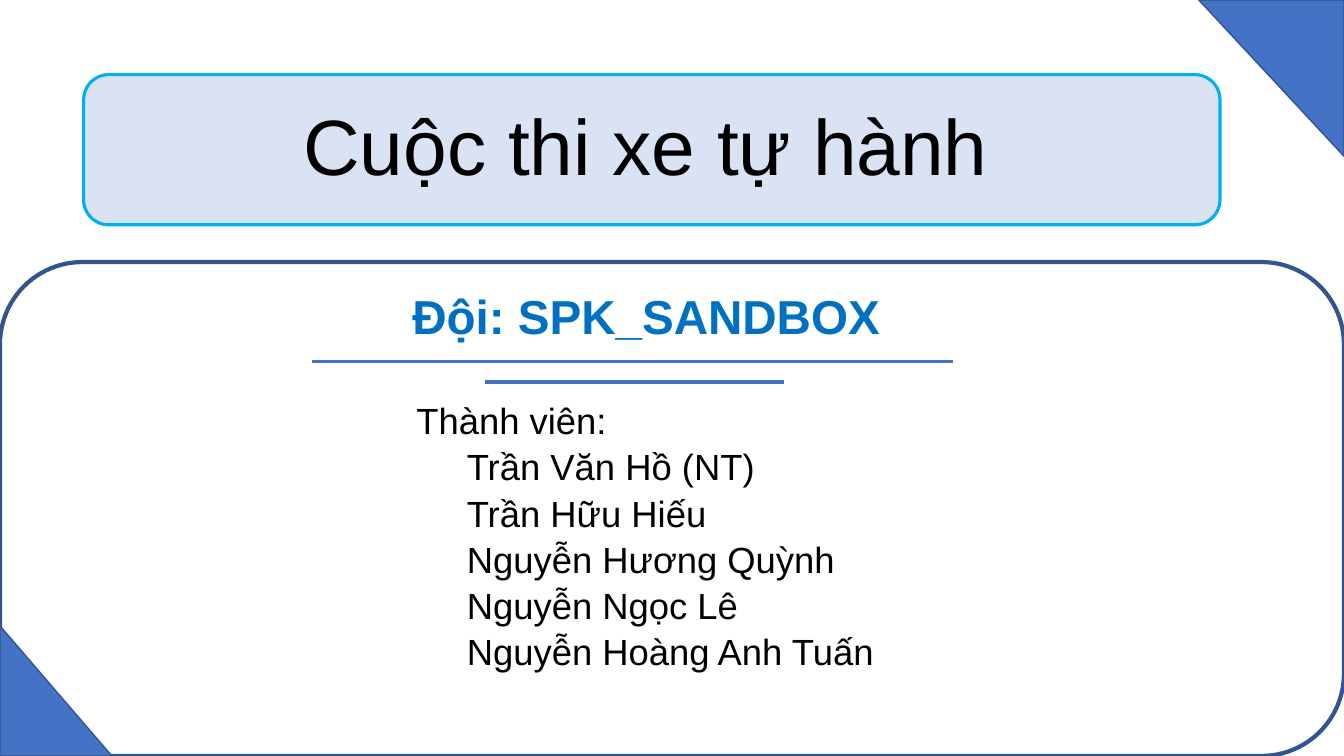
from dataclasses import dataclass
from typing import Optional

from lxml import etree
from pptx import Presentation
from pptx.dml.color import RGBColor
from pptx.enum.shapes import MSO_CONNECTOR, MSO_SHAPE
from pptx.enum.text import MSO_ANCHOR, MSO_AUTO_SIZE, PP_ALIGN
from pptx.oxml.ns import qn
from pptx.util import Inches, Pt

STRAIGHT = MSO_CONNECTOR.STRAIGHT
ROUNDED = MSO_SHAPE.ROUNDED_RECTANGLE
TRIANGLE = MSO_SHAPE.RIGHT_TRIANGLE
TOP, BOTTOM = MSO_ANCHOR.TOP, MSO_ANCHOR.BOTTOM
LEFT, CENTER = PP_ALIGN.LEFT, PP_ALIGN.CENTER
NO_FIT = MSO_AUTO_SIZE.NONE


@dataclass(frozen=True)
class Theme:
    font: str = "Arial"
    ink: str = "000000"
    team: str = "0070C0"
    accent: str = "4472C4"
    border: str = "325491"
    banner: str = "DAE3F3"
    banner_border: str = "00B0F0"
    title_size: int = 56
    team_size: int = 34
    member_size: int = 26
    line_spacing: float = 0.9


THEME = Theme()


@dataclass(frozen=True)
class Box:
    left: float
    top: float
    width: float
    height: float


@dataclass(frozen=True)
class Panel:
    kind: int
    box: Box
    border: str
    border_width: float
    fill: Optional[str] = None
    rotation: float = 0


@dataclass(frozen=True)
class Rule:
    left: float
    right: float
    top: float


@dataclass(frozen=True)
class Line:
    text: str
    level: int = 0
    space_before: float = 0


@dataclass(frozen=True)
class TextBlock:
    box: Box
    lines: tuple[Line, ...]
    size: int
    color: str = THEME.ink
    align: int = CENTER
    anchor: int = TOP
    bold: bool = False


BANNER = Panel(ROUNDED, Box(0.83, 0.74, 11.27, 1.49), THEME.banner_border, 2.25, THEME.banner)
FRAME = Panel(ROUNDED, Box(0, 2.6, 13.33, 4.9), THEME.border, 3)
CORNERS = (
    Panel(TRIANGLE, Box(11.89, 0, 1.44, 1.55), THEME.border, 1, THEME.accent, 180),
    Panel(TRIANGLE, Box(0, 6.21, 1.11, 1.29), THEME.border, 1, THEME.accent),
)
RULES = (Rule(3.09, 9.45, 3.59), Rule(4.81, 7.78, 3.79))
MEMBERS = (
    "Trần Văn Hồ (NT)",
    "Trần Hữu Hiếu",
    "Nguyễn Hương Quỳnh",
    "Nguyễn Ngọc Lê",
    "Nguyễn Hoàng Anh Tuấn",
)
TITLE = TextBlock(
    Box(2.77, 1.04, 7.27, 0.92), (Line("Cuộc thi xe tự hành"),), THEME.title_size, anchor=BOTTOM
)
TEAM = TextBlock(
    Box(3.83, 2.86, 5.16, 0.92),
    (Line("Đội: SPK_SANDBOX", space_before=10),),
    THEME.team_size,
    THEME.team,
    bold=True,
)
MEMBER_LIST = TextBlock(
    Box(4.03, 3.95, 5.26, 3.2),
    (Line("Thành viên:", space_before=10), *(Line(name, 1, 5) for name in MEMBERS)),
    THEME.member_size,
    align=LEFT,
)


def rgb(color: str) -> RGBColor:
    return RGBColor.from_string(color)


def place(shape, box: Box) -> None:
    shape.left, shape.top = Inches(box.left), Inches(box.top)
    shape.width, shape.height = Inches(box.width), Inches(box.height)


def draw_panel(page, panel: Panel) -> None:
    shape = page.shapes.add_shape(panel.kind, 0, 0, 0, 0)
    place(shape, panel.box)
    shape.rotation = panel.rotation
    shape.shadow.inherit = False
    if panel.fill:
        shape.fill.solid()
        shape.fill.fore_color.rgb = rgb(panel.fill)
    else:
        shape.fill.background()
    shape.line.color.rgb = rgb(panel.border)
    shape.line.width = Pt(panel.border_width)


def draw_rule(page, rule: Rule) -> None:
    top = Inches(rule.top)
    line = page.shapes.add_connector(STRAIGHT, Inches(rule.left), top, Inches(rule.right), top)
    line.line.color.rgb = rgb(THEME.accent)
    line.line.width = Pt(2.25)
    etree.SubElement(line._element.spPr, qn("a:effectLst"))


def write_text(shape, block: TextBlock) -> None:
    place(shape, block.box)
    frame = shape.text_frame
    frame.word_wrap = True
    frame.auto_size = NO_FIT
    frame.vertical_anchor = block.anchor
    frame.text = "\n".join(line.text for line in block.lines)
    for para, line in zip(frame.paragraphs, block.lines):
        para.level = line.level
        para.alignment = block.align
        para.line_spacing = THEME.line_spacing
        para.space_before = Pt(line.space_before)
        para.font.name = THEME.font
        para.font.size = Pt(block.size)
        para.font.bold = block.bold
        para.font.color.rgb = rgb(block.color)


def main() -> None:
    deck = Presentation()
    deck.slide_width, deck.slide_height = Inches(13.33), Inches(7.5)
    page = deck.slides.add_slide(deck.slide_layouts[0])
    title, members = page.placeholders
    draw_panel(page, BANNER)
    page.shapes._spTree.insert(2, page.shapes[-1]._element)
    write_text(title, TITLE)
    write_text(members, MEMBER_LIST)
    write_text(page.shapes.add_textbox(0, 0, 0, 0), TEAM)
    for rule in RULES:
        draw_rule(page, rule)
    for panel in (CORNERS[0], FRAME, CORNERS[1]):
        draw_panel(page, panel)
    deck.save("out.pptx")


if __name__ == "__main__":
    main()
